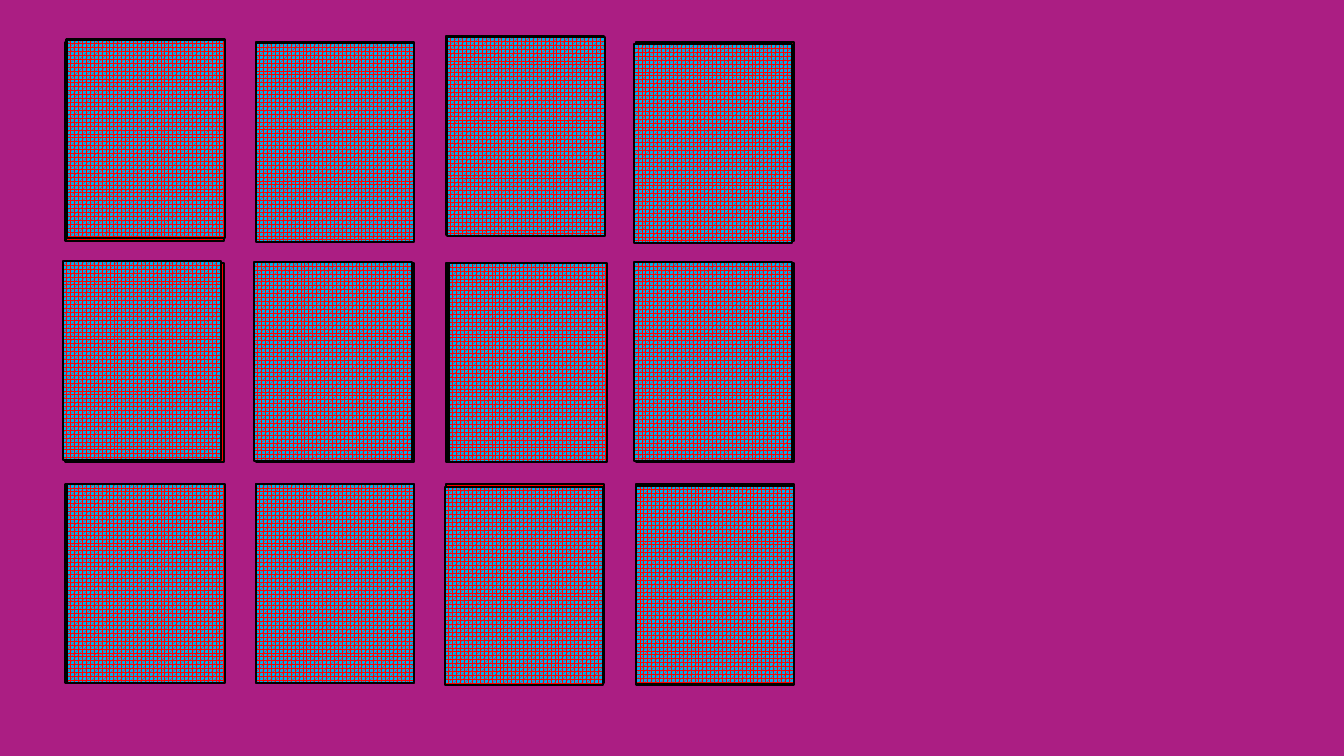
from lxml import etree
from pptx import Presentation
from pptx import util as u
from pptx.dml.color import RGBColor
from pptx.enum import dml, shapes
from pptx.oxml.ns import qn

PURPLE = RGBColor(0xA9, 0x17, 0x7F)
RED = RGBColor(0xFF, 0x00, 0x00)
BLUE = RGBColor(0x00, 0xB0, 0xF0)
BLACK = RGBColor(0x00, 0x00, 0x00)

# Card grid, in points
CARD_W, CARD_H = 113, 142
LEFT, TOP = 46.8, 30.2
COL_PITCH, ROW_PITCH = 135.8, 157.7
RAISED = {(0, 2): 4.3}  # (row, column): lift above the grid

# Offset of each patterned front from its red back, by row and column
FRONT_SHIFTS = [
    [(0.7, -2), (0, 0.7), (0.7, 0.7), (-1.4, 1.4)],
    [(-2, -1.4), (-1.4, -0.7), (2, 0), (-1.4, -0.7)],
    [(0.7, 0), (0, 0), (-0.7, 2), (0, 1.4)],
]


class CardSlide:
    def __init__(self, prs):
        self.line_width = u.Pt(1.5)
        self.s = prs.slides.add_slide(prs.slide_layouts[6])

    def background(self, color, opacity):
        fill = self.s.background.fill
        fill.solid()
        fill.fore_color.rgb = color
        clr = next(self.s.element.iter(qn("a:srgbClr")))
        etree.SubElement(clr, qn("a:alpha")).set("val", str(opacity * 1000))

    def rect(self, group, x, y):
        sp = group.shapes.add_shape(
            shapes.MSO_SHAPE.RECTANGLE,
            u.Pt(x), u.Pt(y), u.Pt(CARD_W), u.Pt(CARD_H))
        sp.shadow.inherit = False
        sp.line.color.rgb = BLACK
        sp.line.width = self.line_width
        return sp

    def card(self, x, y, dx, dy):
        group = self.s.shapes.add_group_shape()
        # Plain back
        back = self.rect(group, x, y)
        back.fill.solid()
        back.fill.fore_color.rgb = RED
        # Patterned front
        front = self.rect(group, x + dx, y + dy)
        front.fill.patterned()
        front.fill.pattern = dml.MSO_PATTERN.SPHERE
        front.fill.fore_color.rgb = RED
        front.fill.back_color.rgb = BLUE


def main():
    prs = Presentation()
    prs.slide_width, prs.slide_height = u.Pt(960), u.Pt(540)
    slide = CardSlide(prs)
    slide.background(PURPLE, 97)

    # Cards, column by column
    for col, shifts in enumerate(zip(*FRONT_SHIFTS)):
        for row, (dx, dy) in enumerate(shifts):
            y = TOP + row * ROW_PITCH - RAISED.get((row, col), 0)
            slide.card(LEFT + col * COL_PITCH, y, dx, dy)

    prs.save("out.pptx")


if __name__ == "__main__":
    main()
